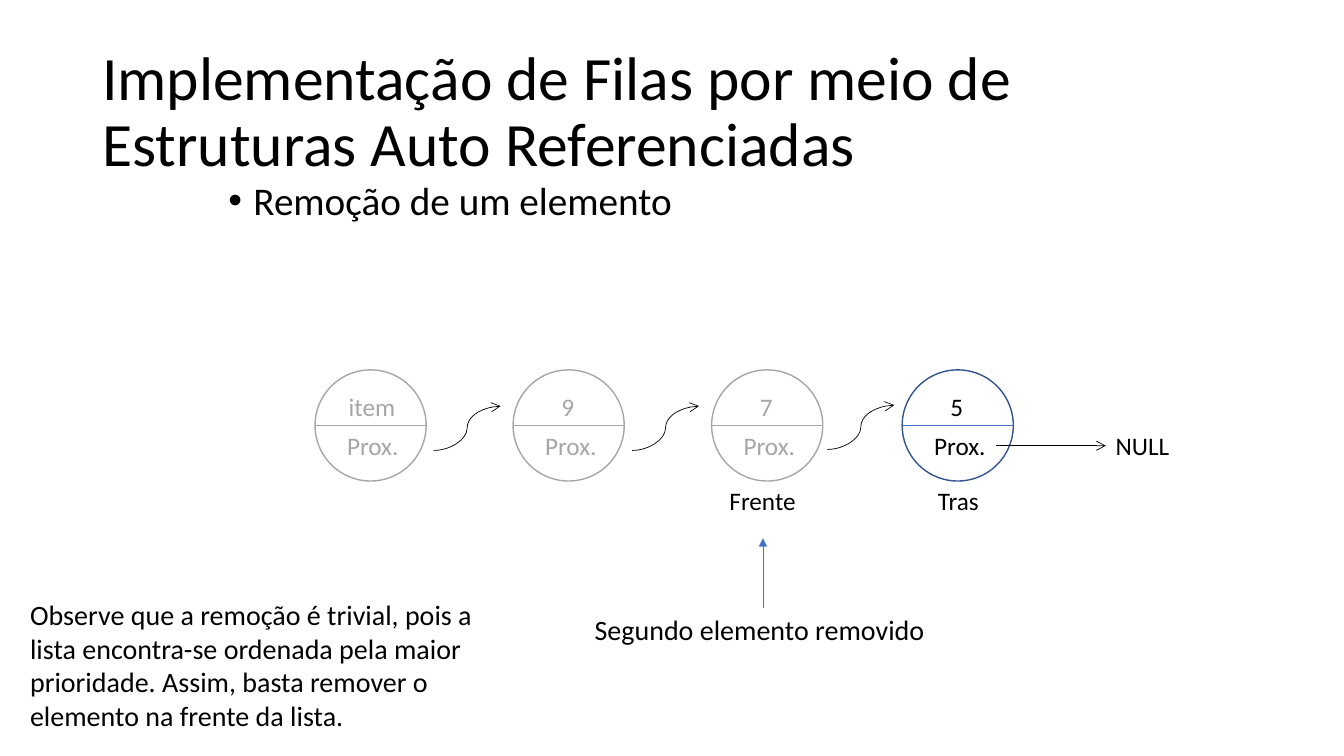
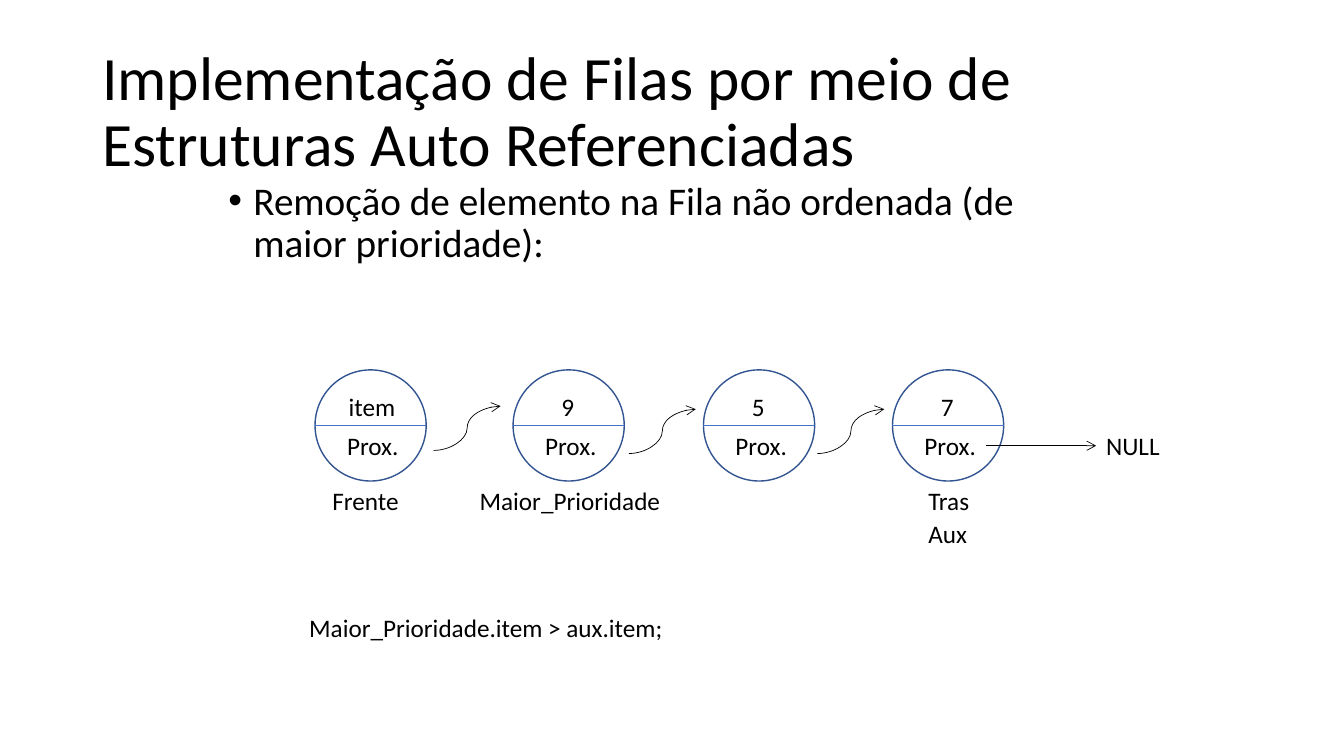
from lxml.etree import SubElement
from pptx import Presentation
from pptx.dml.color import RGBColor
from pptx.enum.shapes import MSO_CONNECTOR as Connector, MSO_SHAPE as Preset
from pptx.enum.text import MSO_ANCHOR as Anchor, MSO_AUTO_SIZE as AutoSize
from pptx.oxml.ns import qn
from pptx.util import Pt

BLACK, GREY, BLUE, OUTLINE = "000000", "A6A6A6", "4472C4", "325491"
FONT = "Calibri"
TITLE = "Implementação de Filas por meio de\vEstruturas Auto Referenciadas"
DIAMETER, NODE_TOP = 79.4, 264.2
MIDDLE = NODE_TOP + DIAMETER / 2


def color(hex_text):
    return RGBColor.from_string(hex_text)


def write(frame, text, size=18, ink=BLACK, spacing=None, bullet=None):
    paragraph = frame.paragraphs[0]
    paragraph.text = text
    if spacing:
        paragraph.line_spacing = spacing
    if bullet:
        properties = paragraph._p.get_or_add_pPr()
        properties.set("marL", str(Pt(18)))
        properties.set("indent", str(-Pt(18)))
        SubElement(properties, qn("a:buFont")).set("typeface", "Arial")
        SubElement(properties, qn("a:buChar")).set("char", bullet)
    for run in paragraph.runs:
        run.font.name = FONT
        run.font.size = Pt(size)
        run.font.color.rgb = color(ink)


class QueueDeck:
    def __init__(self):
        self.presentation = Presentation()
        self.presentation.slide_width = Pt(960)
        self.presentation.slide_height = Pt(540)
        self.slide = None

    def start(self, subject):
        self.slide = self.presentation.slides.add_slide(self.presentation.slide_layouts[6])
        title = self.text(TITLE, 66, 28.8, 828, 104.4, size=44, spacing=0.9)
        title.vertical_anchor = Anchor.MIDDLE
        self.text(subject, 156, 126, 648, 110, size=28, spacing=0.9, bullet="•")

    def text(self, text, left, top, width, height, **style):
        frame = self.slide.shapes.add_textbox(Pt(left), Pt(top), Pt(width), Pt(height)).text_frame
        frame.word_wrap = True
        write(frame, text, **style)
        return frame

    def label(self, text, left, top, width, **style):
        frame = self.text(text, left, top, width, 29, **style)
        frame.word_wrap = False
        frame.auto_size = AutoSize.SHAPE_TO_FIT_TEXT

    def line(self, start, end, ink=BLACK, head=None, kind=Connector.STRAIGHT):
        connector = self.slide.shapes.add_connector(kind, *map(Pt, start + end))
        connector.line.width = Pt(0.5)
        connector.line.color.rgb = color(ink)
        properties = connector._element.spPr
        if head:
            SubElement(properties.find(qn("a:ln")), qn("a:tailEnd")).set("type", head)
        SubElement(properties, qn("a:effectLst"))

    def node(self, left, item, removed=False):
        outline, divider, ink = (GREY, GREY, GREY) if removed else (OUTLINE, BLUE, BLACK)
        circle = self.slide.shapes.add_shape(
            Preset.OVAL, Pt(left), Pt(NODE_TOP), Pt(DIAMETER), Pt(DIAMETER))
        circle.shadow.inherit = False
        circle.fill.background()
        circle.line.color.rgb = color(outline)
        circle.line.width = Pt(1)
        self.line((left, MIDDLE), (left + DIAMETER, MIDDLE), divider)
        inset, width = (27.4, 24) if len(item) == 1 else (17, 48)
        self.label(item, left + inset, 275.8, width, ink=ink)
        self.label("Prox.", left + 15.8, MIDDLE, 52, ink=ink)

    def link(self, left, bottom):
        self.line((left, bottom), (left + 47.8, bottom - 31.7), head="arrow", kind=Connector.CURVE)

    def queue(self, nodes, links):
        for node in nodes:
            self.node(*node)
        for link in links:
            self.link(*link)
        last = nodes[-1][0]
        self.line((last + 67, 318.4), (last + 145.5, 318.4), head="arrow")
        self.label("NULL", last + 145.5, MIDDLE, 53.3)
        self.label("Tras", last + 18.5, 342.8, 44)


def main():
    deck = QueueDeck()

    deck.start("Remoção de um elemento")
    deck.queue(
        [(225, "item", True), (366.5, "9", True), (508.3, "7", True), (644.4, "5")],
        [(309.8, 321.8), (451.5, 321.8), (591, 321.1)])
    deck.label("Frente", 514, 343.4, 62.6)
    deck.line((545, 434), (545, 384.5), BLUE, "triangle")
    deck.text("Segundo elemento removido", 417.6, 434, 264, 31.5, size=20)
    deck.text("Observe que a remoção é trivial, pois a lista encontra-se ordenada pela maior "
              "prioridade. Assim, basta remover o elemento na frente da lista.",
              14.4, 423.4, 352, 104.4, size=20)

    deck.start("Remoção de elemento na Fila não ordenada (de maior prioridade):")
    deck.queue(
        [(225, "item"), (366.5, "9"), (502.5, "5"), (637.5, "7")],
        [(309.8, 321.8), (449.2, 324), (583.9, 324)])
    deck.label("Frente", 230.4, 343.4, 62.6)
    deck.label("Maior_Prioridade", 335.5, 343.4, 144.7)
    deck.label("Aux", 656, 366.5, 42.5)
    deck.label("Maior_Prioridade.item > aux.item;", 213.8, 434, 269.3)

    deck.presentation.save("out.pptx")


if __name__ == "__main__":
    main()
